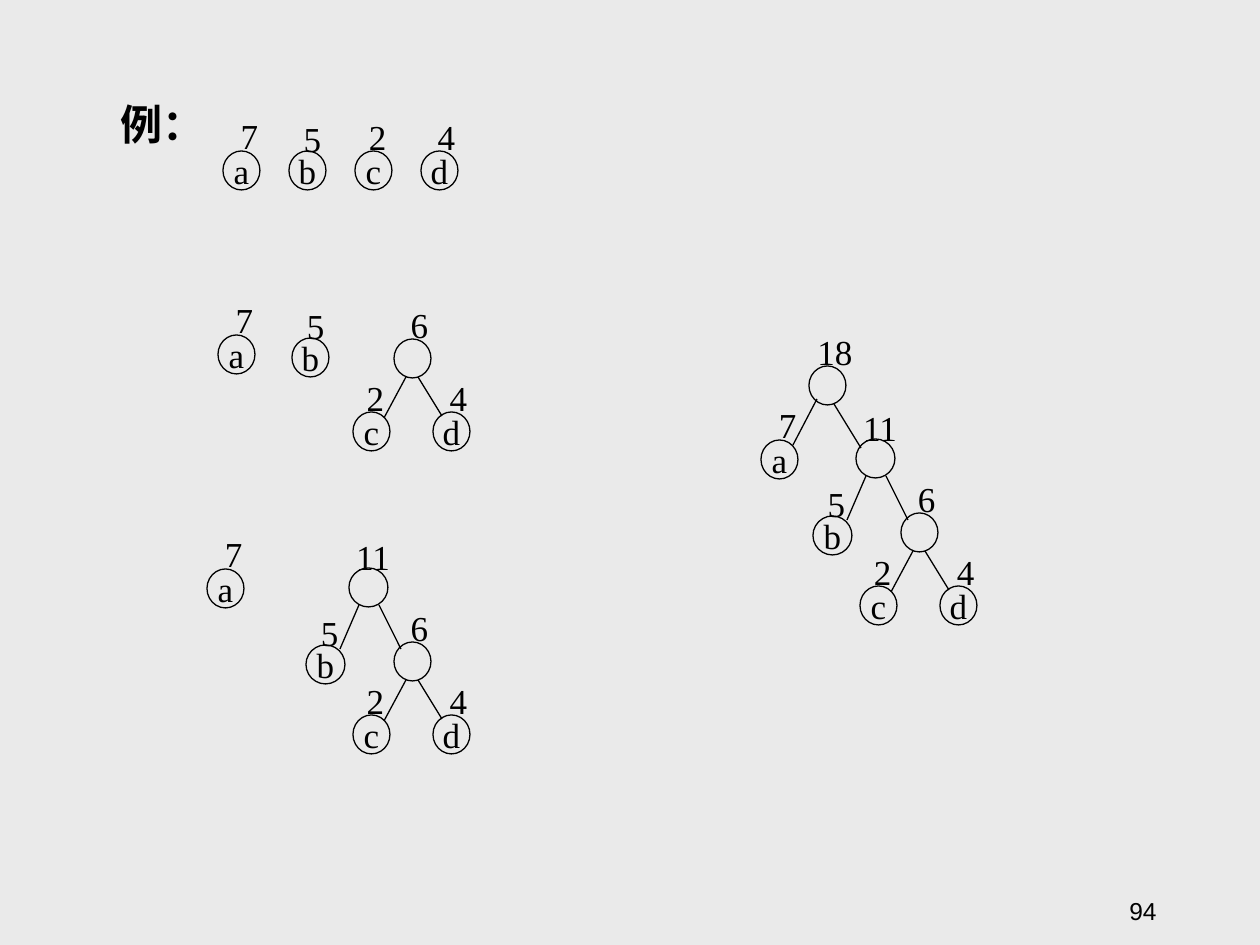
from lxml.etree import SubElement
from pptx import Presentation
from pptx.dml.color import RGBColor
from pptx.enum.shapes import MSO_CONNECTOR, MSO_SHAPE
from pptx.enum.text import MSO_ANCHOR, MSO_AUTO_SIZE, PP_ALIGN
from pptx.oxml.ns import qn
from pptx.util import Pt

EMU_PER_PX = 914400 / 126
BLACK = "000000"

# Weight label of each node: offset from its circle, and width
LABELS = {
    "7": (5, -43, 43), "5": (2, -40, 43), "2": (1, -42, 43), "4": (4, -42, 43),
    "6": (4, -42, 43), "11": (-6, -39, 60), "18": (-4, -42, 60),
}
LETTERS = {"7": "a", "5": "b", "2": "c", "4": "d"}

# Children of each inner node: weight, circle offset, edge start, edge end,
# all measured from the parent's top left corner
CHILDREN = {
    "6": [("2", (-41, 73), (12, 38), (-10, 79)),
          ("4", (39, 73), (24, 38), (48, 77))],
    "11": [("5", (-43, 77), (10, 37), (-9, 81)),
           ("6", (45, 74), (30, 37), (52, 81))],
    "18": [("7", (-48, 74), (8, 33), (-16, 79)),
           ("11", (47, 73), (25, 38), (52, 82))],
}


def px(length):
    return round(length * EMU_PER_PX)


def color(hex_string):
    return RGBColor.from_string(hex_string)


class TreeSlide:
    font = "Times New Roman"
    line_width = Pt(0.75)
    circle_height = 39

    def __init__(self, presentation):
        self.slide = presentation.slides.add_slide(presentation.slide_layouts[6])
        self.shapes = self.slide.shapes

    def background(self, fill):
        self.slide.background.fill.solid()
        self.slide.background.fill.fore_color.rgb = color(fill)

    def add_text(self, shape, text, size=20, font=None, bold=False,
                 align=PP_ALIGN.CENTER, anchor=MSO_ANCHOR.MIDDLE, wrap=False):
        frame = shape.text_frame
        frame.word_wrap = wrap
        frame.vertical_anchor = anchor
        paragraph = frame.paragraphs[0]
        paragraph.alignment = align
        run = paragraph.add_run()
        run.text = text
        run.font.name = font or self.font
        run.font.size = Pt(size)
        run.font.bold = bold
        run.font.color.rgb = color(BLACK)

    def text_box(self, left, top, width, height, text, grow=True, **style):
        box = self.shapes.add_textbox(px(left), px(top), px(width), px(height))
        self.add_text(box, text, **style)
        if grow:
            box.text_frame.auto_size = MSO_AUTO_SIZE.SHAPE_TO_FIT_TEXT

    def outline(self, shape):
        shape.line.color.rgb = color(BLACK)
        shape.line.width = self.line_width

    def node(self, weight, left, top, width=37):
        circle = self.shapes.add_shape(MSO_SHAPE.OVAL, px(left), px(top),
                                       px(width), px(self.circle_height))
        circle.shadow.inherit = False
        circle.fill.background()
        self.outline(circle)
        if weight in LETTERS:
            self.add_text(circle, LETTERS[weight])
        dx, dy, label_width = LABELS[weight]
        self.text_box(left + dx, top + dy, label_width, 55, weight)

    def edge(self, x1, y1, x2, y2):
        connector = self.shapes.add_connector(
            MSO_CONNECTOR.STRAIGHT, px(x1), px(y1), px(x2), px(y2))
        self.outline(connector)
        SubElement(connector._element.spPr, qn("a:effectLst"))

    def tree(self, weight, left, top, width=37):
        # The node 11 and its leaf are slightly wider than the rest
        width = 39 if weight == "11" else width
        self.node(weight, left, top, width)
        for child, (dx, dy), (x1, y1), (x2, y2) in CHILDREN.get(weight, []):
            child_width = 39 if child == "5" else 37
            self.tree(child, left + dx, top + dy, child_width)
            self.edge(left + x1, top + y1, left + x2, top + y2)


def main():
    presentation = Presentation()
    presentation.slide_width = px(1260)
    presentation.slide_height = px(945)
    slide = TreeSlide(presentation)
    slide.background("EAEAEA")

    # Heading
    slide.text_box(87, 92, 108, 63, "例：", size=24, bold=True)

    # Step 1: four single nodes
    for index, weight in enumerate(LETTERS):
        slide.tree(weight, 223 + 66 * index, 151)

    # Step 2: c and d are merged
    slide.tree("7", 218, 335)
    slide.tree("5", 292, 338)
    slide.tree("6", 394, 339)

    # Step 3: b joins the tree
    slide.tree("7", 207, 569)
    slide.tree("11", 349, 568)

    # Step 4: the finished tree
    slide.tree("18", 809, 366)

    # Page number
    slide.text_box(907, 869, 262, 63, "94", grow=False, size=14, font="Arial",
                   align=PP_ALIGN.RIGHT, anchor=MSO_ANCHOR.BOTTOM, wrap=True)

    presentation.save("out.pptx")


if __name__ == "__main__":
    main()
